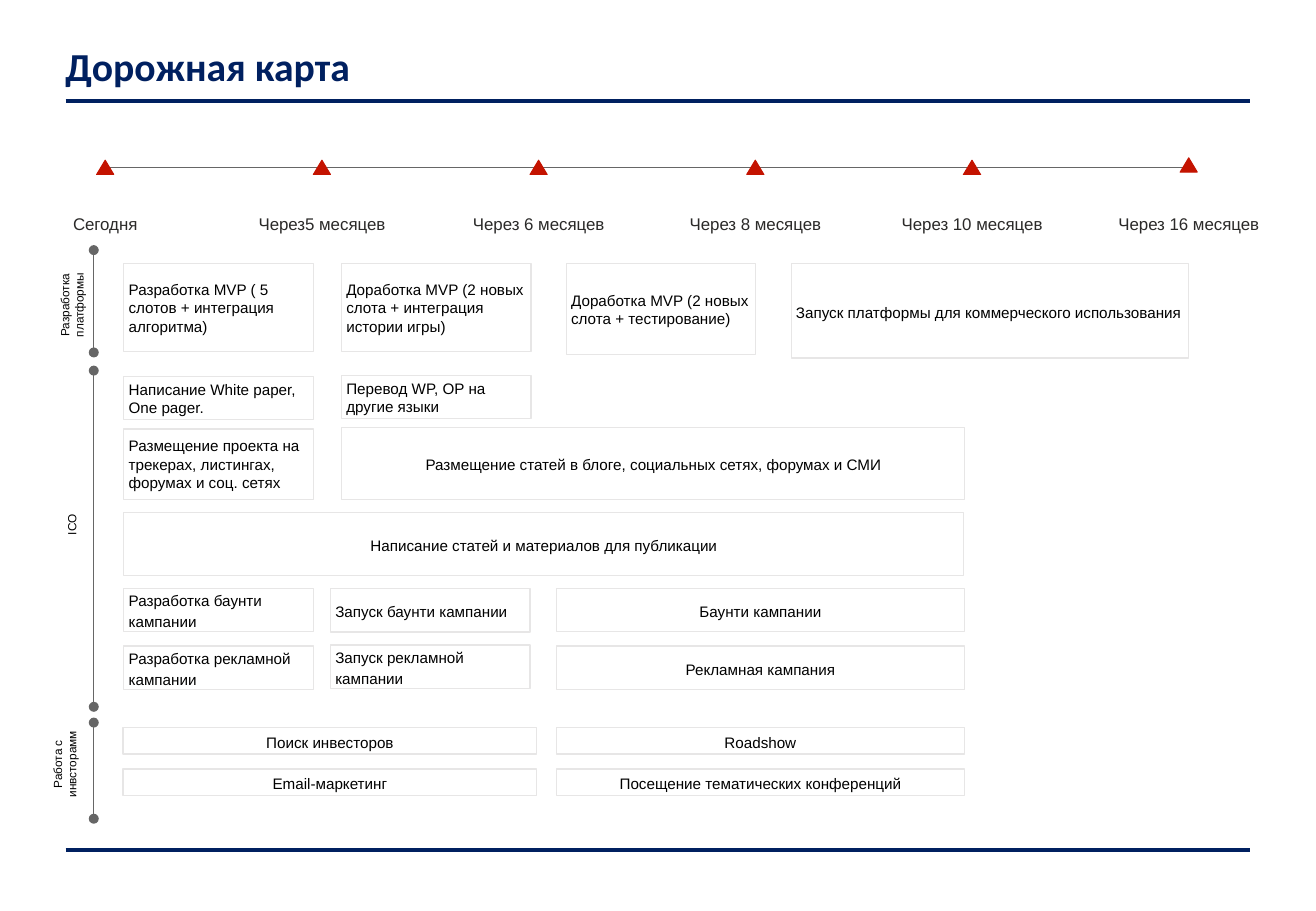
from dataclasses import dataclass

from lxml import etree
from pptx import Presentation
from pptx import util as u
from pptx.dml.color import RGBColor
from pptx.enum import shapes, text
from pptx.oxml import ns

NAVY = RGBColor(0x00, 0x20, 0x60)
GREY = RGBColor(0x66, 0x66, 0x66)
RED = RGBColor(0xC4, 0x13, 0x00)
INK = RGBColor(0x2B, 0x2A, 0x29)
BLACK = RGBColor(0, 0, 0)
WHITE = RGBColor(0xFF, 0xFF, 0xFF)
PALE = RGBColor(0xE7, 0xE6, 0xE6)

LEFT, MID = text.PP_ALIGN.LEFT, text.PP_ALIGN.CENTER

# Timeline and columns, in centimetres
START, STEP = 2.2, 4.53
AXIS = 3.51
COL, NEXT, RUN, LATE = 2.59, 7.14, 6.91, 11.63
THIN, WIDE, LONG = 3.96, 4.17, 8.53


@dataclass
class Task:
    left: float
    top: float
    width: float
    height: float
    label: str
    align: text.PP_ALIGN = MID
    pitch: float = 1.15


@dataclass
class Track:
    label: str
    mid_x: float
    mid_y: float
    top: float
    bottom: float


DATES = ["Сегодня", "Через5 месяцев", "Через 6 месяцев",
         "Через 8 месяцев", "Через 10 месяцев", "Через 16 месяцев"]

TRACKS = [
    Track("Разработка платформы", 1.5, 6.38, 5.23, 7.37),
    Track("ICO", 1.5, 10.97, 7.75, 14.78),
    Track("Работа с инвсторамм", 1.35, 15.98, 15.11, 17.12),
]

TASKS = [
    # Platform
    Task(COL, 5.51, THIN, 1.85, "Разработка MVP ( 5 слотов + интеграция алгоритма)", LEFT, 1),
    Task(NEXT, 5.51, THIN, 1.85, "Доработка MVP (2 новых слота + интеграция истории игры)", LEFT, 1),
    Task(11.84, 5.51, THIN, 1.91, "Доработка MVP (2 новых слота + тестирование)", LEFT, 1),
    Task(16.54, 5.51, 8.31, 1.98, "Запуск платформы для коммерческого использования", LEFT),
    # ICO
    Task(COL, 7.87, THIN, 0.91, "Написание White paper, One pager.", LEFT, 1),
    Task(NEXT, 7.85, THIN, 0.91, "Перевод WP, OP на другие языки", LEFT, 1),
    Task(COL, 8.97, THIN, 1.47, "Размещение проекта на трекерах, листингах, форумах и соц. сетях", LEFT, 1),
    Task(NEXT, 8.94, 13.03, 1.5, "Размещение статей в блоге, социальных сетях, форумах и СМИ"),
    Task(COL, 10.72, 17.55, 1.32, "Написание статей и материалов для публикации"),
    Task(COL, 12.3, THIN, 0.91, "Разработка баунти кампании", LEFT),
    Task(RUN, 12.31, WIDE, 0.91, "Запуск баунти кампании", LEFT),
    Task(LATE, 12.3, LONG, 0.91, "Баунти кампании"),
    Task(COL, 13.51, THIN, 0.91, "Разработка рекламной кампании", LEFT),
    Task(RUN, 13.49, WIDE, 0.91, "Запуск рекламной кампании", LEFT),
    Task(LATE, 13.51, LONG, 0.91, "Рекламная кампания"),
    # Investors
    Task(2.57, 15.21, 8.65, 0.56, "Поиск инвесторов"),
    Task(LATE, 15.21, LONG, 0.56, "Roadshow"),
    Task(2.57, 16.08, 8.65, 0.56, "Email-маркетинг"),
    Task(LATE, 16.08, LONG, 0.56, "Посещение тематических конференций"),
]


def write(shape, words: str, size: float, color: RGBColor, align=MID,
          font: str = "Arial", pitch: float = 1, pad: float = 0, wrap: bool = True):
    frame = shape.text_frame
    frame.text = words
    frame.word_wrap = wrap
    frame.vertical_anchor = text.MSO_ANCHOR.MIDDLE
    frame.margin_left = frame.margin_right = u.Cm(pad)
    frame.margin_top = frame.margin_bottom = u.Cm(pad)
    para = frame.paragraphs[0]
    para.alignment = align
    para.line_spacing = pitch
    run = para.runs[0].font
    run.name, run.size, run.color.rgb = font, u.Pt(size), color
    return frame


def add_box(slide, left: float, top: float, width: float, height: float):
    return slide.shapes.add_textbox(u.Cm(left), u.Cm(top), u.Cm(width), u.Cm(height))


def add_shape(slide, kind, left: float, top: float, width: float, height: float,
              fill: RGBColor, edge: RGBColor, weight: float):
    shape = slide.shapes.add_shape(kind, u.Cm(left), u.Cm(top), u.Cm(width), u.Cm(height))
    shape.shadow.inherit = False
    shape.fill.solid()
    shape.fill.fore_color.rgb = fill
    shape.line.color.rgb = edge
    shape.line.width = u.Pt(weight)
    return shape


def add_line(slide, x1: float, y1: float, x2: float, y2: float,
             color: RGBColor, weight: float, dots: bool = False) -> None:
    line = slide.shapes.add_connector(
        shapes.MSO_CONNECTOR.STRAIGHT, u.Cm(x1), u.Cm(y1), u.Cm(x2), u.Cm(y2))
    line.line.color.rgb = color
    line.line.width = u.Pt(weight)
    if dots:
        for end in ("a:headEnd", "a:tailEnd"):
            etree.SubElement(line.line._get_or_add_ln(), ns.qn(end), type="oval")
    etree.SubElement(line._element.spPr, ns.qn("a:effectLst"))


def main() -> None:
    deck = Presentation()
    deck.slide_width, deck.slide_height = u.Cm(27.51), u.Cm(19.05)
    slide = deck.slides.add_slide(deck.slide_layouts[6])

    # Title and rules
    for y in (2.11, 17.78):
        add_line(slide, 1.37, y, 26.14, y, NAVY, 2.25)
    frame = write(add_box(slide, 1.37, 1.02, 19.76, 0.99), "Дорожная карта",
                  23.5, NAVY, LEFT, "Calibri", 0.9)
    frame.margin_bottom = u.Cm(0.13)
    frame.vertical_anchor = text.MSO_ANCHOR.BOTTOM
    frame.paragraphs[0].runs[0].font.bold = True

    # Timeline
    add_line(slide, START, AXIS, START + 5 * STEP, AXIS, GREY, 0.75)
    for i, date in enumerate(DATES):
        x = START + i * STEP
        top = 3.3 if i == len(DATES) - 1 else 3.35
        add_shape(slide, shapes.MSO_SHAPE.ISOSCELES_TRIANGLE, x - 0.18, top,
                  0.36, 0.3, RED, RED, 0.56)
        write(add_box(slide, x - 1.5, 4.37, 3, 0.64), date, 10, INK, wrap=False)

    # Tracks
    for track in TRACKS:
        add_line(slide, 1.96, track.top, 1.96, track.bottom, GREY, 0.75, dots=True)
        box = add_box(slide, track.mid_x - 0.74, track.mid_y - 0.3, 1.48, 0.6)
        box.rotation = 270
        write(box, track.label, 7, BLACK)

    # Tasks
    for task in TASKS:
        box = add_shape(slide, shapes.MSO_SHAPE.RECTANGLE, task.left, task.top,
                        task.width, task.height, WHITE, PALE, 0.75)
        write(box, task.label, 9, BLACK, task.align, pitch=task.pitch, pad=0.1)

    deck.save("out.pptx")


if __name__ == "__main__":
    main()
